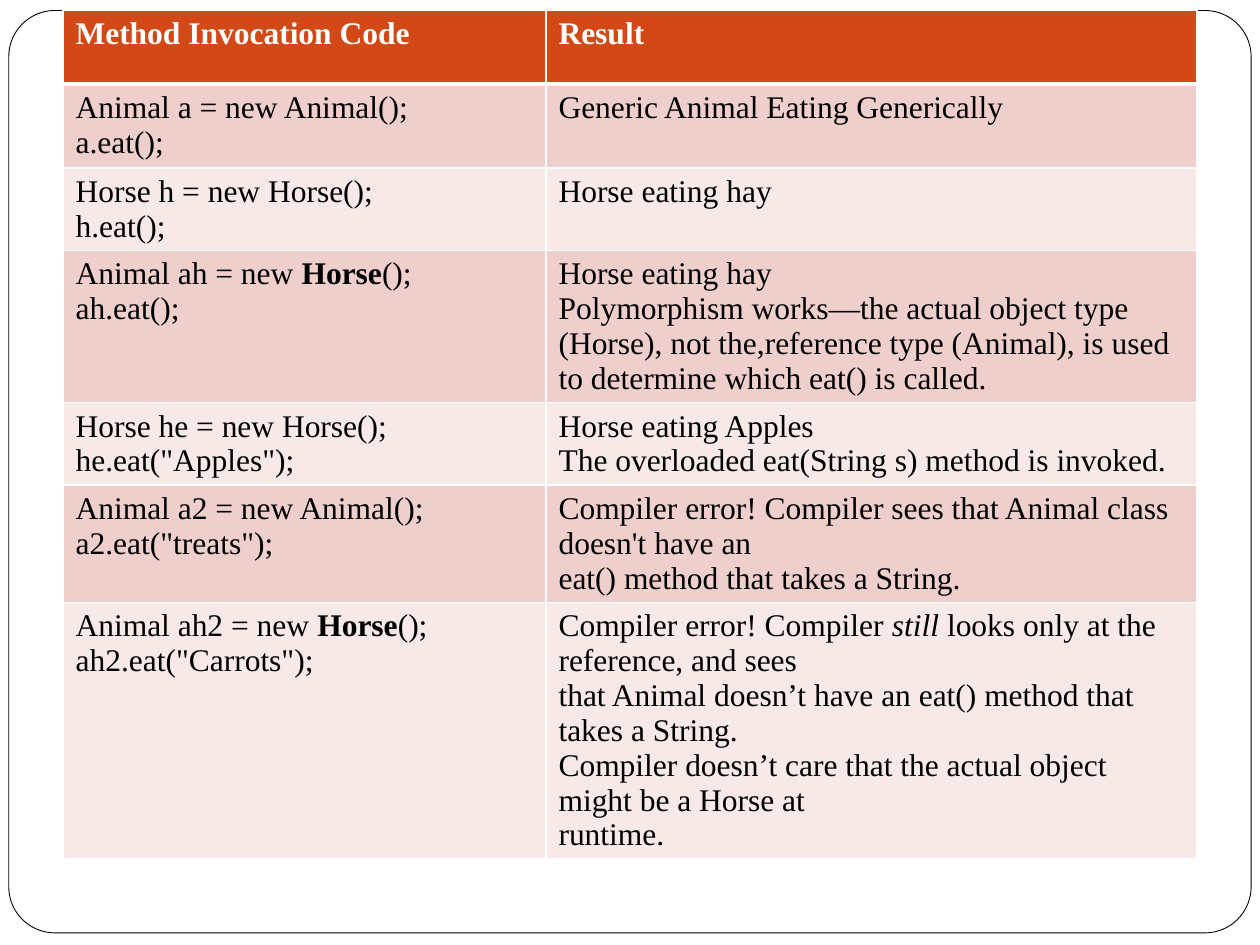
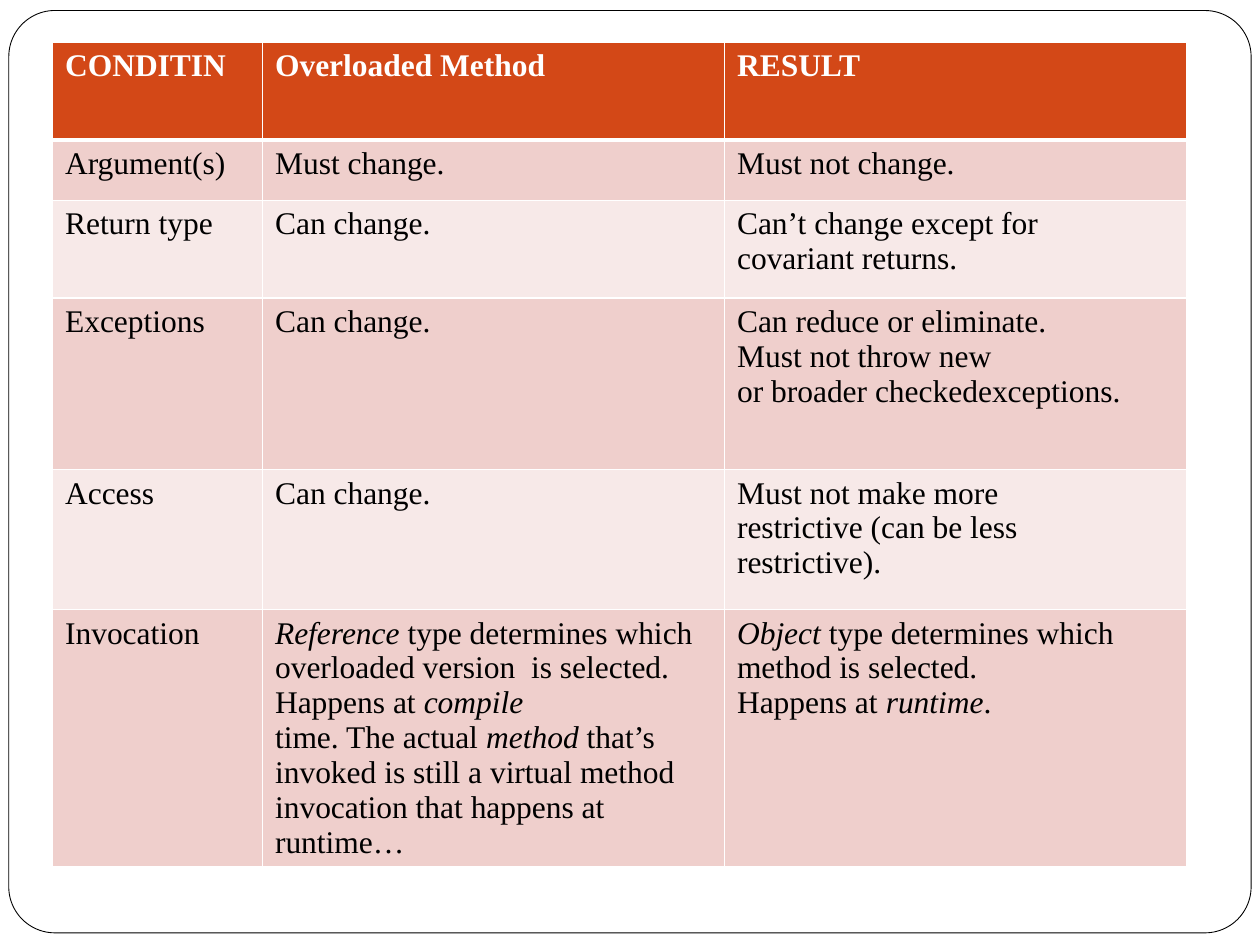
from dataclasses import dataclass

from lxml.etree import SubElement
from pptx import Presentation
from pptx.dml.color import RGBColor
from pptx.enum.shapes import MSO_SHAPE as Preset
from pptx.oxml.ns import qn
from pptx.util import Inches, Pt

# Grid: 120 columns by 90 rows of square units on a 10 by 7.5 inch page
PAGE_WIDTH, PAGE_HEIGHT = Inches(10), Inches(7.5)
GRID_COLUMNS = 120
UNIT = PAGE_WIDTH / GRID_COLUMNS

# Shared style
FONT_NAME = "Times New Roman"
FONT_SIZE = Pt(18)
WHITE = RGBColor(0xFF, 0xFF, 0xFF)
BLACK = RGBColor(0x00, 0x00, 0x00)
HEADER_ORANGE = RGBColor(0xD3, 0x48, 0x17)
BAND_DARK = RGBColor(0xEF, 0xCF, 0xCC)
BAND_LIGHT = RGBColor(0xF7, 0xE9, 0xE8)
THIN_RULE, HEADER_RULE = Pt(1), Pt(3)


@dataclass(frozen=True)
class Grid:
    """A table in grid units; in cells, *...* is bold and _..._ is italic."""
    left: float
    top: float
    widths: tuple[float, ...]
    heights: tuple[float, ...]
    cells: tuple[tuple[str, ...], ...]


INVOCATIONS = Grid(
    left=6, top=1, widths=(46, 62),
    heights=(7, 8, 7.85, 14.5, 7.85, 11.1, 24.4),
    cells=(
        ("Method Invocation Code", "Result"),
        ("Animal a = new Animal();\na.eat();",
         "Generic Animal Eating Generically"),
        ("Horse h = new Horse();\nh.eat();", "Horse eating hay"),
        ("Animal ah = new *Horse*();\nah.eat();",
         "Horse eating hay\n"
         "Polymorphism works—the actual object type (Horse), not the,"
         "reference type (Animal), is used to determine which eat() is called."),
        ('Horse he = new Horse();\nhe.eat("Apples");',
         "Horse eating Apples\n"
         "The overloaded eat(String s) method is invoked."),
        ('Animal a2 = new Animal();\na2.eat("treats");',
         "Compiler error! Compiler sees that Animal class doesn't have an\n"
         "eat() method that takes a String."),
        ('Animal ah2 = new *Horse*();\nah2.eat("Carrots");',
         "Compiler error! Compiler _still _looks only at the reference, and sees\n"
         "that Animal doesn’t have an eat() method that takes a String.\n"
         "Compiler doesn’t care that the actual object might be a Horse at\n"
         "runtime."),
    ),
)

CONDITIONS = Grid(
    left=5, top=4, widths=(20, 44, 44),
    heights=(9.33, 5.75, 9.33, 16.33, 13.33, 24.4),
    cells=(
        ("CONDITIN", "Overloaded Method", "RESULT"),
        ("Argument(s)", "Must change.", "Must not change."),
        ("Return type", "Can change.",
         "Can’t change except for\ncovariant returns."),
        ("Exceptions", "Can change.",
         "Can reduce or eliminate.\nMust not throw new\n"
         "or broader checkedexceptions."),
        ("Access", "Can change.",
         "Must not make more\nrestrictive (can be less\nrestrictive)."),
        ("Invocation",
         "_Reference _type determines which overloaded version  is selected. "
         "Happens at _compile_\n"
         "time. The actual _method _that’s invoked is still a virtual method\n"
         "invocation that happens at runtime…",
         "_Object _type determines which\nmethod is selected.\n"
         "Happens at _runtime_."),
    ),
)


def units(count: float) -> int:
    return round(count * UNIT)


def draw_frame(page) -> None:
    """Rounded outline around the whole page."""
    frame = page.shapes.add_shape(Preset.ROUNDED_RECTANGLE, units(0.84), units(1),
                                  units(118.32), units(87.84))
    frame.adjustments[0] = 0.05
    frame.shadow.inherit = False
    frame.fill.solid()
    frame.fill.fore_color.rgb = WHITE
    frame.line.color.rgb = BLACK
    frame.line.width = Pt(0.5)


def write_cell(cell, text: str, is_header: bool) -> None:
    for index, line in enumerate(text.split("\n")):
        frame = cell.text_frame
        para = frame.add_paragraph() if index else frame.paragraphs[0]
        para.font.name, para.font.size = FONT_NAME, FONT_SIZE
        para.font.color.rgb = WHITE if is_header else BLACK
        para.font.bold = is_header
        for bold_index, part in enumerate(line.split("*")):
            for italic_index, piece in enumerate(part.split("_")):
                if not piece:
                    continue
                span = para.add_run()
                span.text = piece
                if bold_index % 2:
                    span.font.bold = True
                if italic_index % 2:
                    span.font.italic = True


def rule_cell(cell, top: int, bottom: int) -> None:
    """White borders on all four sides."""
    properties = cell._tc.get_or_add_tcPr()
    sides = {"lnL": THIN_RULE, "lnR": THIN_RULE, "lnT": top, "lnB": bottom}
    for side, width in sides.items():
        border = SubElement(properties, qn(f"a:{side}"), w=str(width))
        fill = SubElement(border, qn("a:solidFill"))
        SubElement(fill, qn("a:srgbClr"), val=str(WHITE))


def draw_table(page, grid: Grid) -> None:
    table = page.shapes.add_table(
        len(grid.heights), len(grid.widths), units(grid.left), units(grid.top),
        units(sum(grid.widths)), units(sum(grid.heights))).table
    table.first_row = table.horz_banding = False
    for column, width in zip(table.columns, grid.widths):
        column.width = units(width)
    for row_index, (row, height) in enumerate(zip(table.rows, grid.heights)):
        row.height = units(height)
        is_header = row_index == 0
        band = BAND_DARK if row_index % 2 else BAND_LIGHT
        for cell, text in zip(row.cells, grid.cells[row_index]):
            write_cell(cell, text, is_header)
            rule_cell(cell, top=HEADER_RULE if row_index == 1 else THIN_RULE,
                      bottom=HEADER_RULE if is_header else THIN_RULE)
            cell.fill.solid()
            cell.fill.fore_color.rgb = HEADER_ORANGE if is_header else band


def main() -> None:
    deck = Presentation()
    deck.slide_width, deck.slide_height = PAGE_WIDTH, PAGE_HEIGHT
    blank = deck.slide_layouts[6]
    for grid in (INVOCATIONS, CONDITIONS):
        page = deck.slides.add_slide(blank)
        draw_frame(page)
        draw_table(page, grid)
    deck.save("out.pptx")


if __name__ == "__main__":
    main()
